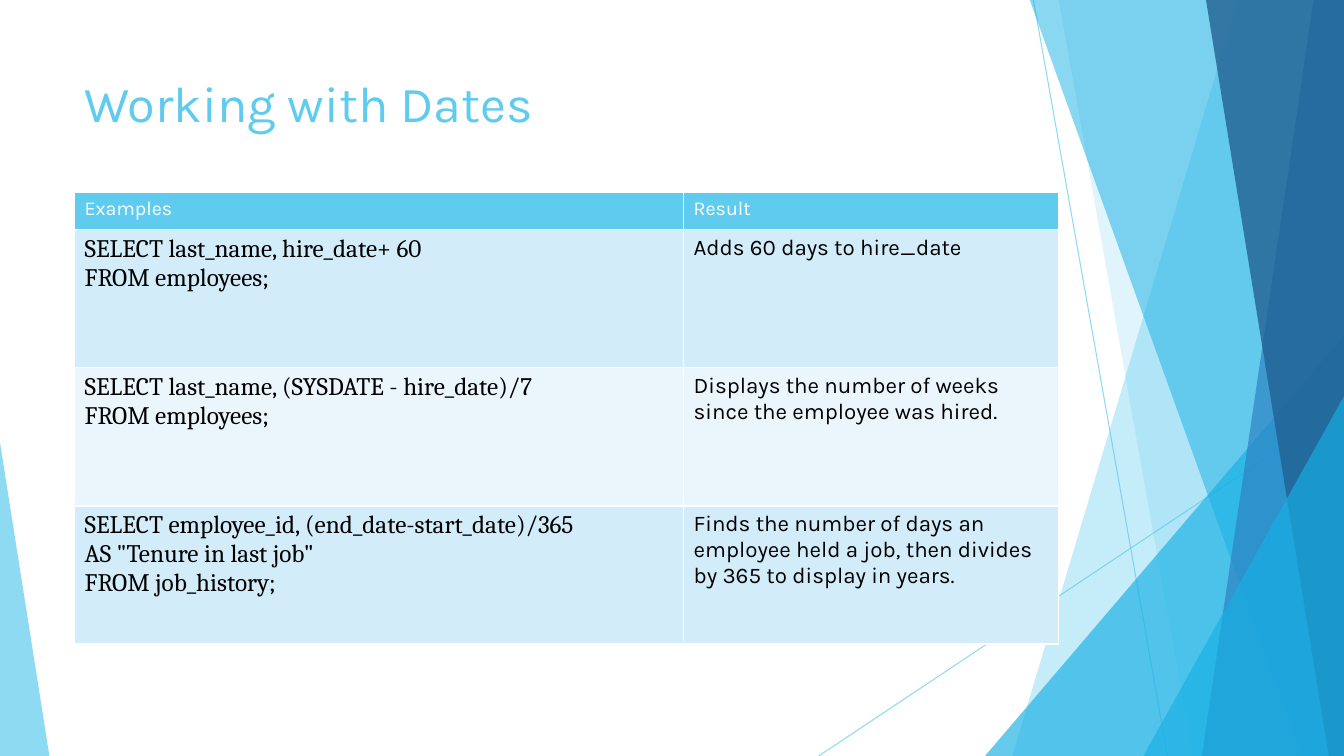
from lxml import etree
from pptx import Presentation, util as u
from pptx.dml.color import RGBColor
from pptx.enum import shapes, text
from pptx.oxml.ns import qn

SKY = RGBColor(0x5F, 0xCB, 0xEF)
CYAN = RGBColor(0x17, 0xB0, 0xE4)
BLUE = RGBColor(0x2E, 0x83, 0xC3)
NAVY = RGBColor(0x22, 0x62, 0x92)
BAND_DARK = RGBColor(0xD2, 0xEC, 0xF9)
BAND_LIGHT = RGBColor(0xEA, 0xF6, 0xFC)
WHITE = RGBColor(0xFF, 0xFF, 0xFF)
BLACK = RGBColor(0, 0, 0)
WIDTH, HEIGHT = 13.33, 7.5


class SlideBuilder:
    body_font = "Karla"
    code_font = "Cambria"

    def __init__(self, slide):
        self.shapes = slide.shapes

    def set_alpha(self, fill, percent):
        """Make a solid fill partly transparent."""
        for color in fill.iter(qn("a:srgbClr")):
            etree.SubElement(color, qn("a:alpha"), val=str(percent * 1000))

    def line(self, start, end):
        points = [u.Inches(value) for value in start + end]
        line = self.shapes.add_connector(shapes.MSO_CONNECTOR.STRAIGHT, *points)
        line.line.color.rgb = SKY
        line.line.width = u.Pt(0.75)
        properties = line._element.spPr
        self.set_alpha(properties, 70)
        etree.SubElement(properties, qn("a:effectLst"))

    def paint(self, shape, color, alpha):
        shape.shadow.inherit = False
        shape.line.fill.background()
        shape.fill.solid()
        shape.fill.fore_color.rgb = color
        self.set_alpha(shape._element.spPr, alpha)

    def shard(self, top_x, bottom_x, color, alpha):
        """Fill from a slanted left edge to the right edge of the slide."""
        corners = [(WIDTH, -0.01), (WIDTH, HEIGHT), (bottom_x, HEIGHT)]
        builder = self.shapes.build_freeform(u.Inches(top_x), u.Inches(-0.01))
        builder.add_line_segments([(u.Inches(x), u.Inches(y)) for x, y in corners])
        self.paint(builder.convert_to_shape(), color, alpha)

    def triangle(self, left, top, width, peak, color, alpha):
        """Stand a triangle on the bottom edge of the slide."""
        shape = self.shapes.add_shape(
            shapes.MSO_SHAPE.ISOSCELES_TRIANGLE, u.Inches(left), u.Inches(top),
            u.Inches(width), u.Inches(HEIGHT - top))
        shape.adjustments[0] = peak
        self.paint(shape, color, alpha)

    def set_words(self, frame, words, size, font, color):
        frame.text = words
        for para in frame.paragraphs:
            for span in para.runs:
                span.font.size = u.Pt(size)
                span.font.name = font
                span.font.color.rgb = color

    def title(self, words):
        box = self.shapes.add_textbox(
            u.Inches(0.74), u.Inches(0.67), u.Inches(9.4), u.Inches(1.44))
        box.text_frame.word_wrap = True
        box.text_frame.vertical_anchor = text.MSO_ANCHOR.TOP
        self.set_words(box.text_frame, words, 36, self.body_font, SKY)

    def cell(self, cell, words, size, font, color, fill):
        self.set_words(cell.text_frame, words, size, font, color)
        cell.fill.solid()
        cell.fill.fore_color.rgb = fill
        properties = cell._tc.get_or_add_tcPr()
        for index, side in enumerate(("a:lnL", "a:lnR", "a:lnT", "a:lnB")):
            border = etree.Element(qn(side), w=str(u.Pt(1)))
            solid = etree.SubElement(border, qn("a:solidFill"))
            etree.SubElement(solid, qn("a:srgbClr"), val=str(WHITE))
            properties.insert(index, border)

    def table(self, header, rows):
        widths = (6.04, 3.72)
        heights = [0.37] + [1.37] * len(rows)
        table = self.shapes.add_table(
            len(heights), len(widths), u.Inches(0.74), u.Inches(1.91),
            u.Inches(sum(widths)), u.Inches(sum(heights))).table
        table.first_row = table.horz_banding = False
        for column, width in zip(table.columns, widths):
            column.width = u.Inches(width)
        for row, height in zip(table.rows, heights):
            row.height = u.Inches(height)
        for column, words in enumerate(header):
            self.cell(table.cell(0, column), words, 14, self.body_font, WHITE, SKY)
        for number, (query, result) in enumerate(rows, 1):
            band = BAND_DARK if number % 2 else BAND_LIGHT
            self.cell(table.cell(number, 0), query, 18, self.code_font, BLACK, band)
            self.cell(table.cell(number, 1), result, 16, self.body_font, BLACK, band)


def main():
    deck = Presentation()
    deck.slide_width, deck.slide_height = u.Inches(WIDTH), u.Inches(HEIGHT)
    page = SlideBuilder(deck.slides.add_slide(deck.slide_layouts[6]))

    # Background facets, back to front
    page.line((10.25, 0), (11.58, HEIGHT))
    page.line((WIDTH, 4.03), (8.12, HEIGHT))
    page.shard(12.28, 10.04, SKY, 36)
    page.shard(10.5, 11.83, SKY, 20)
    page.triangle(9.77, 3.33, 3.56, 1, CYAN, 66)
    page.shard(10.21, 12.91, CYAN, 50)
    page.shard(13.03, 11.92, BLUE, 70)
    page.shard(11.96, 13.18, NAVY, 80)
    page.triangle(11.34, 3.93, 1.99, 1, CYAN, 66)
    page.triangle(0, 4.39, 0.49, 0, SKY, 70)

    # Title and examples
    page.title("Working with Dates")
    page.table(("Examples", "Result"), [
        ("SELECT last_name, hire_date+ 60\nFROM employees;",
         "Adds 60 days to hire_date"),
        ("SELECT last_name, (SYSDATE - hire_date)/7\nFROM employees;",
         "Displays the number of weeks since the employee was hired."),
        ("SELECT employee_id, (end_date-start_date)/365\n"
         "AS \"Tenure in last job\"\nFROM job_history;",
         "Finds the number of days an employee held a job, "
         "then divides by 365 to display in years."),
    ])
    deck.save("out.pptx")


if __name__ == "__main__":
    main()
